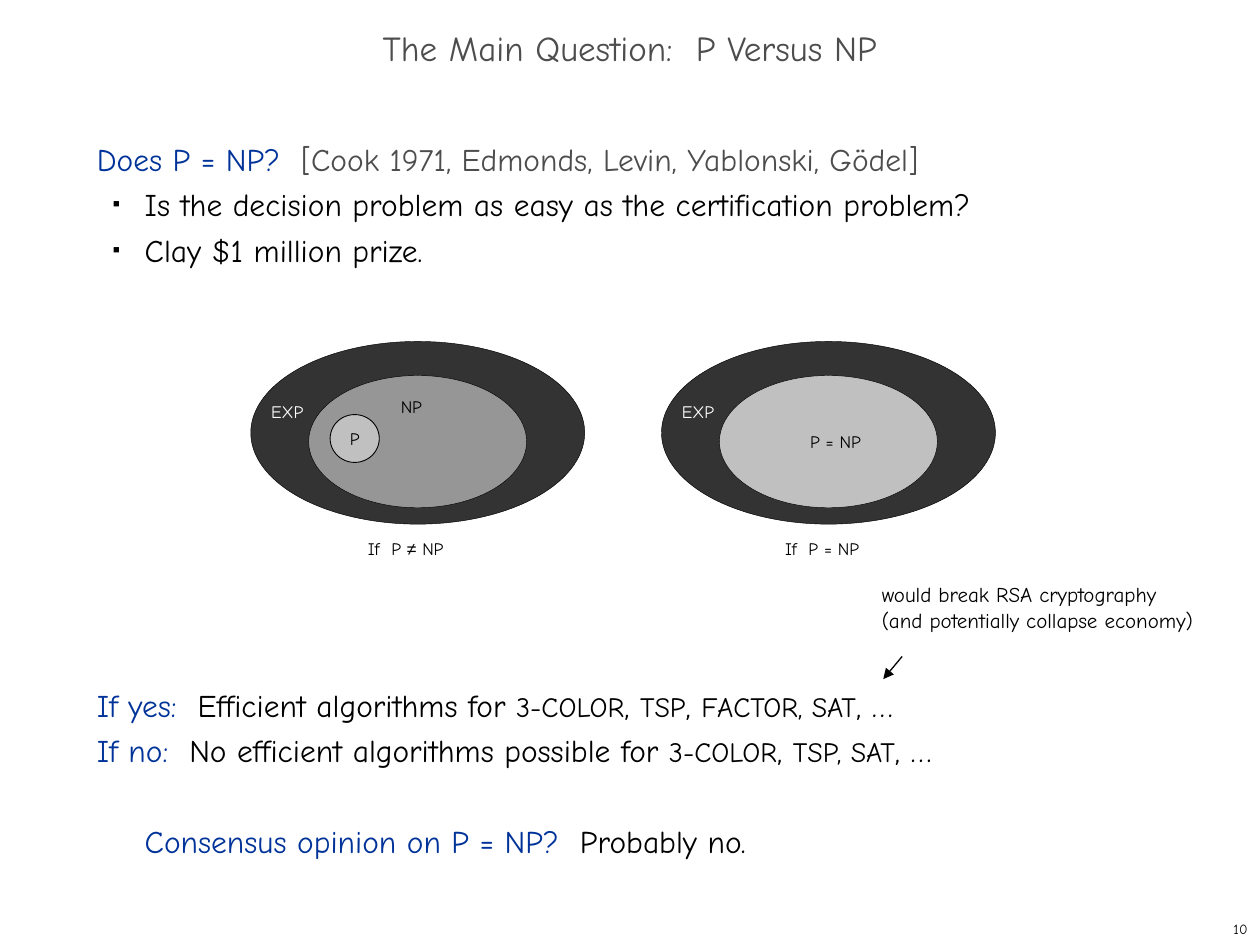
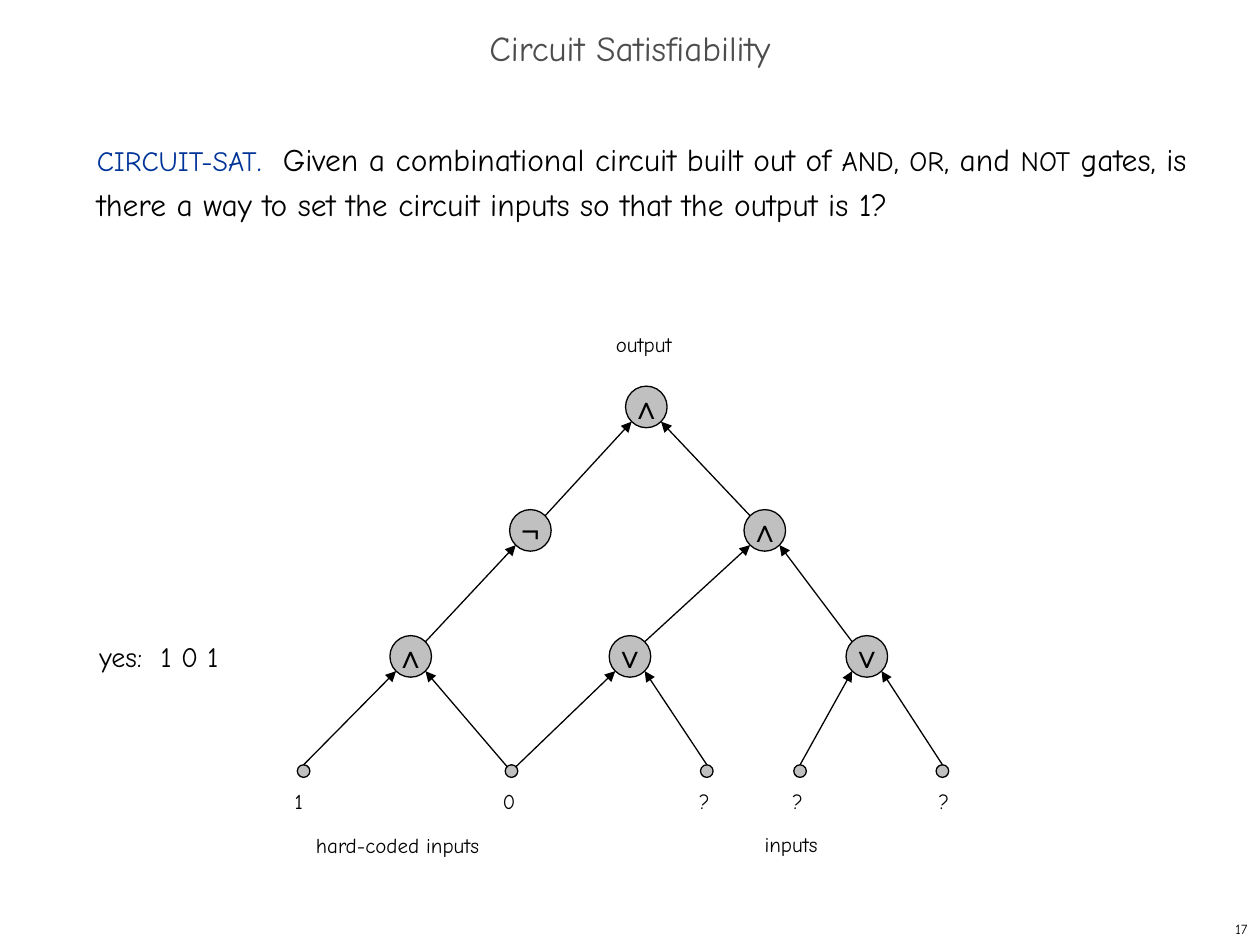
from dataclasses import dataclass, field
from math import sqrt
from typing import Any, NamedTuple

from lxml.etree import SubElement
from pptx import Presentation
from pptx.dml.color import RGBColor
from pptx.enum.shapes import MSO_CONNECTOR as Connector, MSO_SHAPE as Shape
from pptx.enum.text import MSO_ANCHOR as Anchor, MSO_AUTO_SIZE as AutoSize, PP_ALIGN as Align
from pptx.oxml.ns import qn
from pptx.util import Inches, Pt

BLACK, INK, WHITE = "000000", "010000", "FFFFFF"
BLUE, GREY = "003399", "4D4D4D"
DARK, MID, LIGHT = "333333", "969696", "C0C0C0"
HAND, SANS = "Comic Neue", "Arial"

BODY_LINE = Pt(26)
BODY_INDENT = Inches(0.38)
GROW = {"auto_size": AutoSize.SHAPE_TO_FIT_TEXT}
NO_WRAP = {"word_wrap": False}
MIDDLE = {"vertical_anchor": Anchor.MIDDLE}


class Box(NamedTuple):
    left: float
    top: float
    width: float
    height: float


class Run(NamedTuple):
    text: str
    size: float = 18
    color: str = BLACK
    font: str = HAND


@dataclass(frozen=True)
class Para:
    runs: list[Run]
    layout: dict[str, Any] = field(default_factory=dict)
    indent: int = 0
    bullet: bool = False


@dataclass(frozen=True)
class Node:
    """A gate or an input of the circuit, placed by its centre."""
    x: float
    y: float
    size: float
    symbol: str = ""

    def rim(self, across: int, down: int) -> tuple[float, float]:
        """Point on the circle in a diagonal direction."""
        reach = self.size / 2 / sqrt(2)
        return self.x + across * reach, self.y + down * reach


def rgb(color: str) -> RGBColor:
    return RGBColor.from_string(color)


def apply(target: Any, values: dict[str, Any]) -> None:
    for name, value in values.items():
        setattr(target, name, value)


def add_run(paragraph: Any, run: Run) -> None:
    for number, line in enumerate(run.text.split("\n")):
        if number:
            paragraph.add_line_break()
        piece = paragraph.add_run()
        piece.text = line
        apply(piece.font, {"size": Pt(run.size), "name": run.font})
        piece.font.color.rgb = rgb(run.color)


def add_bullet(paragraph: Any, properties: Any) -> None:
    color = SubElement(properties, qn("a:buClr"))
    SubElement(color, qn("a:srgbClr"), val=BLACK)
    SubElement(properties, qn("a:buSzPct"), val="35000")
    SubElement(properties, qn("a:buFont"), typeface=SANS)
    SubElement(properties, qn("a:buChar"), char="■")
    paragraph.level = 1


def write(frame: Any, paras: list[Para], frame_format: dict[str, Any]) -> None:
    apply(frame, {"word_wrap": True} | frame_format)
    for number, para in enumerate(paras):
        paragraph = frame.add_paragraph() if number else frame.paragraphs[0]
        properties = paragraph._p.get_or_add_pPr()
        if para.bullet:
            add_bullet(paragraph, properties)
        if para.indent:
            properties.set("marL", str(para.indent))
            properties.set("indent", str(-Inches(0.25) if para.bullet else 0))
        apply(paragraph, para.layout)
        for run in para.runs:
            add_run(paragraph, run)


def add_text(slide: Any, box: Box, paras: list[Para], **frame_format: Any) -> None:
    textbox = slide.shapes.add_textbox(*map(Inches, box))
    write(textbox.text_frame, paras, frame_format)


def add_label(slide: Any, box: Box, *runs: Run, align: Align = Align.CENTER,
              **frame_format: Any) -> None:
    add_text(slide, box, [Para(list(runs), {"alignment": align})], **GROW | frame_format)


def add_ellipse(slide: Any, box: Box, fill: str, line: str, width: float,
                text: Run | None = None) -> Any:
    ellipse = slide.shapes.add_shape(Shape.OVAL, *map(Inches, box))
    ellipse.shadow.inherit = False
    ellipse.fill.solid()
    ellipse.fill.fore_color.rgb = rgb(fill)
    ellipse.line.color.rgb = rgb(line)
    ellipse.line.width = Pt(width)
    if text:
        write(ellipse.text_frame, [Para([text], {"alignment": Align.CENTER})], NO_WRAP | MIDDLE)
    return ellipse


def add_arrow(slide: Any, start: tuple[float, float], end: tuple[float, float],
              tip: str) -> Any:
    """Straight line with a triangle at its headEnd (start) or tailEnd (end)."""
    arrow = slide.shapes.add_connector(Connector.STRAIGHT, *map(Inches, (*start, *end)))
    arrow.line.color.rgb = rgb(BLACK)
    arrow.line.width = Pt(0.75)
    SubElement(arrow.line._get_or_add_ln(), qn(f"a:{tip}"), type="triangle")
    SubElement(arrow._element.spPr, qn("a:effectLst"))
    return arrow


def add_page(deck: Any, title: str, number: int) -> Any:
    slide = deck.slides.add_slide(deck.slide_layouts[6])
    add_text(slide, Box(7.92, 7.25, 2.08, 0.25),
             [Para([Run(str(number), 8)], {"alignment": Align.RIGHT})], **NO_WRAP | MIDDLE)
    add_text(slide, Box(0, 0.17, 10, 0.5),
             [Para([Run(title, 20, GREY)], {"alignment": Align.CENTER, "line_spacing": 0.7})],
             **MIDDLE)
    return slide


def body(*runs: Run, lines_before: int = 0, **options: Any) -> Para:
    layout: dict[str, Any] = {"line_spacing": BODY_LINE}
    if lines_before:
        layout["space_before"] = Pt(BODY_LINE.pt * lines_before)
    return Para(list(runs), layout, **options)


def listing(*names: str) -> list[Run]:
    """Small capitals-style names, parted by commas of body size."""
    return [piece for name in names for piece in (Run(name, 16), Run(", "))]


def add_exp_class(slide: Any, left: float, inner_fill: str) -> None:
    add_ellipse(slide, Box(left, 2.71, 2.65, 1.45), DARK, INK, 0.25)
    add_label(slide, Box(left + 0.05, 3.13, 0.48, 0.27), Run("EXP", 10, WHITE))
    add_ellipse(slide, Box(left + 0.46, 2.98, 1.73, 1.05), inner_fill, INK, 0.25)


def build_main_question(deck: Any) -> None:
    slide = add_page(deck, "The Main Question:  P Versus NP", 10)
    point = {"indent": BODY_INDENT, "bullet": True}
    add_text(slide, Box(0.67, 1, 8.58, 5.92), [
        body(Run("Does P = NP?  ", color=BLUE),
             Run("[Cook 1971, Edmonds, Levin, Yablonski, Gödel]", color=GREY)),
        body(Run("Is the decision problem as easy as the certification problem?"), **point),
        body(Run("Clay $1 million prize."), **point),
        body(Run("If yes:  ", color=BLUE), Run("Efficient algorithms for "),
             *listing("3-COLOR", "TSP", "FACTOR, SAT"), Run("…"), lines_before=9),
        body(Run("If no:  ", color=BLUE), Run("No efficient algorithms possible for "),
             *listing("3-COLOR", "TSP, SAT"), Run("…")),
        body(Run("Consensus opinion on P = NP?  ", color=BLUE), Run("Probably no."),
             lines_before=1, indent=BODY_INDENT),
    ])

    add_exp_class(slide, 1.99, MID)
    add_label(slide, Box(3.06, 3.09, 0.41, 0.27), Run("NP", 10))
    add_ellipse(slide, Box(2.62, 3.29, 0.39, 0.38), LIGHT, INK, 0.5, Run("P", 10))
    add_label(slide, Box(2.71, 4.22, 1.02, 0.27), Run("If  P ", 10, INK),
              Run("≠", 10, INK, SANS), Run(" NP", 10, INK))

    add_exp_class(slide, 5.25, LIGHT)
    add_label(slide, Box(6.02, 3.37, 1.22, 0.27), Run("P = NP", 10, INK))
    add_label(slide, Box(6.02, 4.22, 1.01, 0.27), Run("If  P = NP", 10, INK))

    add_label(slide, Box(6.9, 4.57, 2.83, 0.5),
              Run("would break RSA cryptography\n(and potentially collapse economy)", 12),
              align=Align.LEFT)
    add_arrow(slide, (7.16, 5.21), (7.01, 5.39), "tailEnd")


GATE, INPUT = 0.33, 0.1
INPUT_ROW = 6.12
NODES = {
    "output": Node(5.13, 3.23, GATE, "∧"),
    "not": Node(4.21, 4.21, GATE, "¬"),
    "and right": Node(6.07, 4.21, GATE, "∧"),
    "and left": Node(3.26, 5.21, GATE, "∧"),
    "or middle": Node(5, 5.21, GATE, "∨"),
    "or right": Node(6.88, 5.21, GATE, "∨"),
    "one": Node(2.41, INPUT_ROW, INPUT),
    "zero": Node(4.06, INPUT_ROW, INPUT),
    "first": Node(5.61, INPUT_ROW, INPUT),
    "second": Node(6.35, INPUT_ROW, INPUT),
    "third": Node(7.48, INPUT_ROW, INPUT),
}
FEEDS = {
    "output": ("not", "and right"),
    "not": ("and left",),
    "and right": ("or middle", "or right"),
    "and left": ("one", "zero"),
    "or middle": ("zero", "first"),
    "or right": ("second", "third"),
}
CIRCUIT_LABELS = [
    ("1", Box(2.24, 6.21, 0.27, 0.3), 12),
    ("0", Box(3.89, 6.21, 0.3, 0.3), 12),
    *(("?", Box(left, 6.21, 0.29, 0.3), 12) for left in (5.45, 6.19, 7.35)),
    ("output", Box(4.79, 2.58, 0.64, 0.3), 12),
    ("inputs", Box(5.97, 6.55, 0.62, 0.3), 12),
    ("hard-coded inputs", Box(2.41, 6.56, 1.5, 0.3), 12),
    ("yes:  1 0 1", Box(0.69, 5.03, 1.15, 0.37), 16),
]


def add_node(slide: Any, node: Node) -> Any:
    half = node.size / 2
    symbol = Run(node.symbol, font=SANS) if node.symbol else None
    box = Box(node.x - half, node.y - half, node.size, node.size)
    return add_ellipse(slide, box, LIGHT, BLACK, 0.75, symbol)


def add_circuit(slide: Any) -> None:
    circles = {name: add_node(slide, node) for name, node in NODES.items()}
    for gate_name, sources in FEEDS.items():
        gate = NODES[gate_name]
        for source_name in sources:
            source = NODES[source_name]
            side = -1 if source.x < gate.x else 1
            wire = add_arrow(slide, gate.rim(side, 1), source.rim(-side, -1), "headEnd")
            if not source.symbol and source_name != "zero":
                wire.end_connect(circles[source_name], 0)


def build_circuit_satisfiability(deck: Any) -> None:
    slide = add_page(deck, "Circuit Satisfiability", 17)
    add_circuit(slide)
    for text, box, size in CIRCUIT_LABELS:
        add_label(slide, box, Run(text, size), align=Align.LEFT, **NO_WRAP)
    add_text(slide, Box(0.67, 1, 8.92, 5.92), [body(
        Run("CIRCUIT-SAT", 16, BLUE), Run(".  ", color=BLUE),
        Run("Given a combinational circuit built out of "),
        *listing("AND", "OR"), Run("and "), Run("NOT", 16),
        Run(" gates, is there a way to set the circuit inputs so that the output is 1?"),
    )])


def main() -> None:
    deck = Presentation()
    deck.slide_width, deck.slide_height = Inches(10), Inches(7.5)
    build_main_question(deck)
    build_circuit_satisfiability(deck)
    deck.save("out.pptx")


if __name__ == "__main__":
    main()
